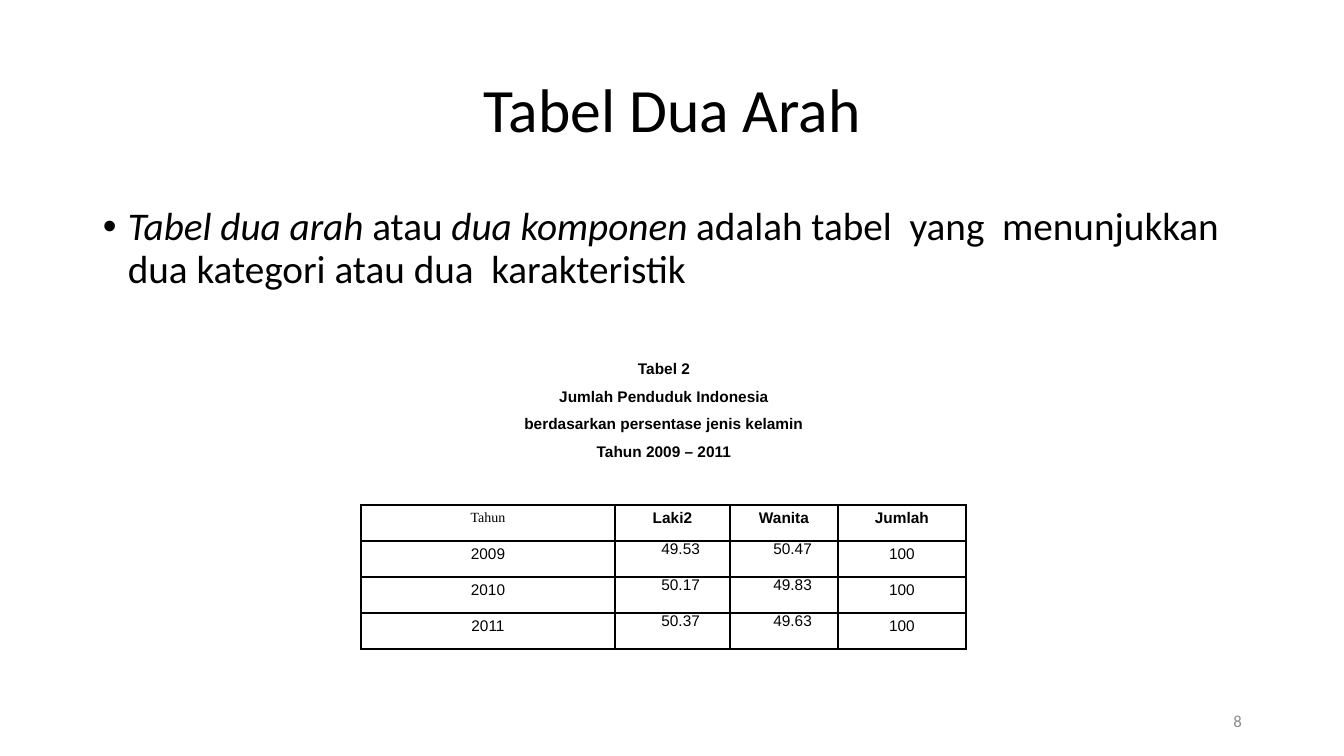
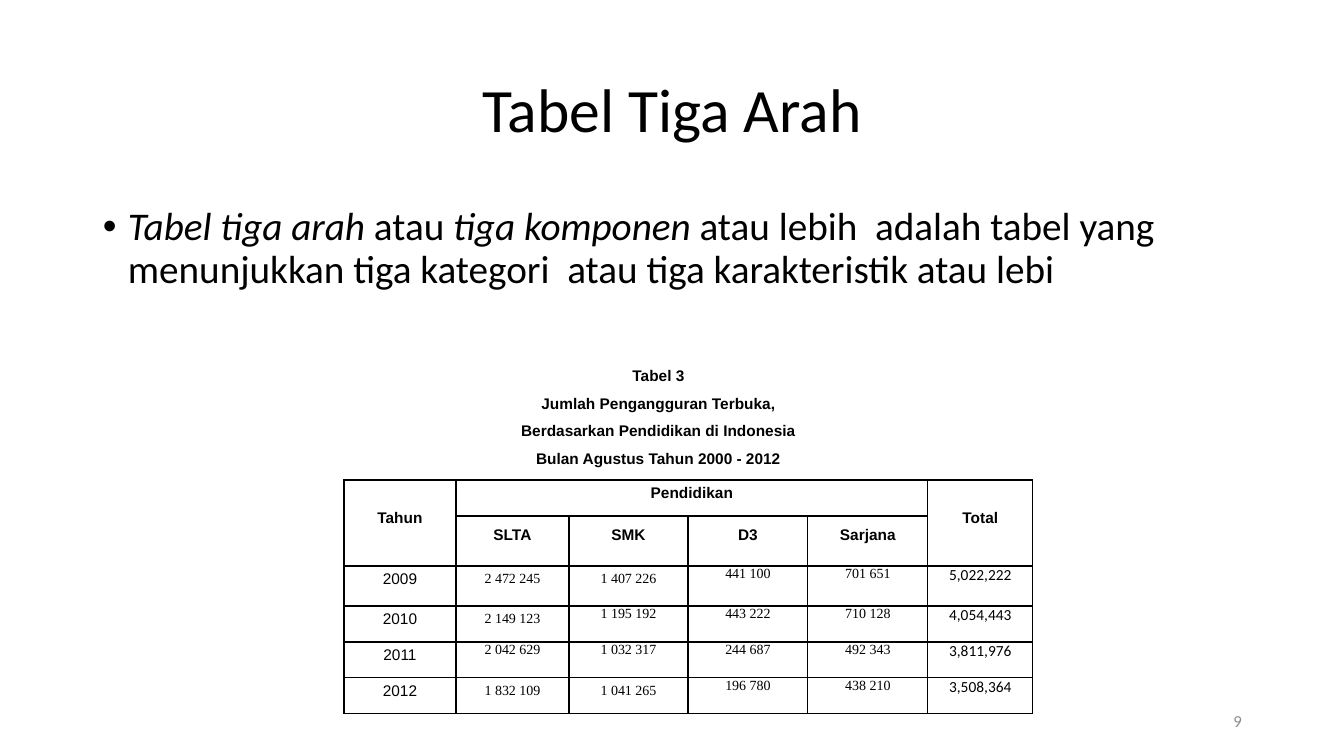
from dataclasses import dataclass
from typing import NamedTuple

from lxml import etree
from pptx import Presentation
from pptx.dml.color import RGBColor
from pptx.enum.text import MSO_ANCHOR, MSO_AUTO_SIZE, PP_ALIGN
from pptx.oxml.ns import qn
from pptx.util import Emu, Pt

LEFT, CENTER, RIGHT = PP_ALIGN.LEFT, PP_ALIGN.CENTER, PP_ALIGN.RIGHT
TOP, MIDDLE = MSO_ANCHOR.TOP, MSO_ANCHOR.MIDDLE
NO_FIT, GROW = MSO_AUTO_SIZE.NONE, MSO_AUTO_SIZE.SHAPE_TO_FIT_TEXT

COLORS = {"text": "000000", "border": "000000", "number": "8C8C8C"}
SANS, ARIAL, SERIF = "Calibri", "Arial", "Times New Roman"
TITLE_ONLY = 5


def px(n: float) -> Emu:
    """Pixels at 100.8 to the inch."""
    return Emu(round(n * 914400 / 100.8))


class Box(NamedTuple):
    x: int
    y: int
    w: int
    h: int


class Font(NamedTuple):
    face: str
    size: int
    bold: bool = False
    color: str = "text"


class CellStyle(NamedTuple):
    font: Font
    top: int = 0
    right: int = 0
    align: PP_ALIGN = CENTER


class Span(NamedTuple):
    row: int
    col: int
    last_row: int
    last_col: int


@dataclass
class Caption:
    box: Box
    top: int
    right: int
    number: str
    subject: tuple[str, str]
    period: str


@dataclass
class Grid:
    x: int
    y: int
    cols: list[int]
    rows: list[int]
    cells: list[list[tuple[str, str] | None]]
    spans: list[Span]


@dataclass
class Page:
    number: int
    title: str
    body: list[tuple[str, bool]]
    caption: Caption
    grid: Grid


# Shared layout and type styles
TITLE_BOX = Box(93, 40, 1159, 146)
BODY_BOX = Box(93, 202, 1159, 480)
NUMBER_BOX = Box(950, 701, 302, 40)
TITLE_FONT = Font(SANS, 44)
BODY_FONT = Font(SANS, 28)
NUMBER_FONT = Font(SANS, 12, color="number")
BOLD_FONT = Font(ARIAL, 11, True)
PLAIN_FONT = Font(ARIAL, 11)
SMALL_FONT = Font(SERIF, 10)

CELL_STYLES = {
    "head": CellStyle(BOLD_FONT, 5),
    "subhead": CellStyle(BOLD_FONT, 11),
    "tall head": CellStyle(BOLD_FONT, 30),
    "plain": CellStyle(PLAIN_FONT, 5),
    "men": CellStyle(PLAIN_FONT, 0, 30, RIGHT),
    "women": CellStyle(PLAIN_FONT, 0, 26, RIGHT),
    "count": CellStyle(SMALL_FONT, 5),
    "high count": CellStyle(SMALL_FONT),
    "total": CellStyle(Font(SANS, 11)),
}


def add_run(p, text: str, font: Font, italic: bool = False) -> None:
    r = p.add_run()
    r.text = text
    r.font.name, r.font.size = font.face, Pt(font.size)
    r.font.bold, r.font.italic = font.bold, italic
    r.font.color.rgb = RGBColor.from_string(COLORS[font.color])


def add_text_box(s, box: Box, anchor=TOP, fit=NO_FIT):
    tf = s.shapes.add_textbox(*map(px, box)).text_frame
    tf.word_wrap, tf.auto_size, tf.vertical_anchor = True, fit, anchor
    return tf


def add_title(s, text: str) -> None:
    sp = s.shapes.title
    sp.left, sp.top, sp.width, sp.height = map(px, TITLE_BOX)
    tf = sp.text_frame
    tf.auto_size, tf.vertical_anchor = NO_FIT, MIDDLE
    p = tf.paragraphs[0]
    p.alignment, p.line_spacing = CENTER, 0.9
    add_run(p, text, TITLE_FONT)


def add_body(s, runs: list[tuple[str, bool]]) -> None:
    p = add_text_box(s, BODY_BOX).paragraphs[0]
    p.alignment, p.line_spacing, p.space_before = LEFT, 0.9, Pt(10)
    pPr = p._p.get_or_add_pPr()
    pPr.set("marL", str(px(25)))
    pPr.set("indent", str(px(-25)))
    etree.SubElement(pPr, qn("a:buFont"), typeface=ARIAL)
    etree.SubElement(pPr, qn("a:buChar"), char="•")
    for text, italic in runs:
        add_run(p, text, BODY_FONT, italic)


def add_number(s, number: int) -> None:
    p = add_text_box(s, NUMBER_BOX, MIDDLE).paragraphs[0]
    p.alignment = RIGHT
    add_run(p, str(number), NUMBER_FONT)


def add_caption(s, caption: Caption) -> None:
    tf = add_text_box(s, caption.box, fit=GROW)
    tf.margin_left = tf.margin_bottom = 0
    tf.margin_top, tf.margin_right = px(caption.top), px(caption.right)
    first, subject, period = tf.paragraphs[0], tf.add_paragraph(), tf.add_paragraph()
    for p in (first, subject, period):
        p.alignment = CENTER
    add_run(first, caption.number, BOLD_FONT)
    subject.line_spacing = 1.5
    add_run(subject, caption.subject[0], BOLD_FONT)
    subject.add_line_break()
    add_run(subject, caption.subject[1], BOLD_FONT)
    period.space_before = Pt(6.6)
    add_run(period, caption.period, BOLD_FONT)


def style_cell(cell) -> None:
    tcPr = cell._tc.get_or_add_tcPr()
    for side in ("L", "R", "T", "B"):
        ln = etree.SubElement(tcPr, qn(f"a:ln{side}"), w=str(Pt(1)))
        fill = etree.SubElement(ln, qn("a:solidFill"))
        etree.SubElement(fill, qn("a:srgbClr"), val=COLORS["border"])
    cell.fill.background()


def fill_cell(cell, text: str, style: CellStyle) -> None:
    cell.margin_left = cell.margin_bottom = 0
    cell.margin_top, cell.margin_right = px(style.top), px(style.right)
    cell.vertical_anchor = TOP
    p = cell.text_frame.paragraphs[0]
    p.alignment = style.align
    add_run(p, text, style.font)


def add_grid(s, grid: Grid) -> None:
    box = Box(grid.x, grid.y, sum(grid.cols), sum(grid.rows))
    table = s.shapes.add_table(len(grid.rows), len(grid.cols), *map(px, box)).table
    table.first_row = table.horz_banding = False
    for column, width in zip(table.columns, grid.cols):
        column.width = px(width)
    for row, height in zip(table.rows, grid.rows):
        row.height = px(height)
    for i, values in enumerate(grid.cells):
        for j, value in enumerate(values):
            cell = table.cell(i, j)
            style_cell(cell)
            if value:
                fill_cell(cell, value[0], CELL_STYLES[value[1]])
    for span in grid.spans:
        table.cell(span.row, span.col).merge(table.cell(span.last_row, span.last_col))


def styled(texts: list[str], styles: list[str]) -> list[tuple[str, str]]:
    return list(zip(texts, styles))


# Two-way table
SHARE_ROW = ["plain", "men", "women", "plain"]
two_way = Page(
    8,
    "Tabel Dua Arah",
    [
        ("Tabel dua arah ", True),
        ("atau ", False),
        ("dua komponen ", True),
        ("adalah tabel  yang  menunjukkan dua kategori atau dua  karakteristik", False),
    ],
    Caption(
        Box(522, 348, 284, 114), 11, 0, "Tabel 2",
        ("Jumlah Penduduk Indonesia", "berdasarkan persentase jenis kelamin"),
        "Tahun 2009 – 2011",
    ),
    Grid(
        361, 505, [254, 115, 108, 128], [36] * 4,
        [
            styled(["Tahun", "Laki2", "Wanita", "Jumlah"], ["count"] + ["head"] * 3),
            styled(["2009", "49.53", "50.47", "100"], SHARE_ROW),
            styled(["2010", "50.17", "49.83", "100"], SHARE_ROW),
            styled(["2011", "50.37", "49.63", "100"], SHARE_ROW),
        ],
        [],
    ),
)

# Three-way table
HIGH_END = ["high count", "high count", "total"]
LOW_ROW = ["plain", "count", "count"] + HIGH_END
three_way = Page(
    9,
    "Tabel Tiga Arah",
    [
        ("Tabel tiga arah ", True),
        ("atau ", False),
        ("tiga komponen ", True),
        ("atau lebih  adalah tabel yang menunjukkan tiga kategori  "
         "atau tiga karakteristik atau lebi", False),
    ],
    Caption(
        Box(266, 365, 898, 105), 1, 113, "Tabel 3",
        ("Jumlah Pengangguran Terbuka,", "Berdasarkan Pendidikan di Indonesia"),
        "Bulan Agustus Tahun 2000 - 2012",
    ),
    Grid(
        344, 480, [112, 113, 119, 120, 120, 105], [36, 50, 40, 36, 36, 36],
        [
            [("Tahun", "tall head"), ("Pendidikan", "head"), None, None, None,
             ("Total", "tall head")],
            [None, *styled(["SLTA", "SMK", "D3", "Sarjana"], ["subhead"] * 4), None],
            styled(["2009", "2 472 245", "1 407 226", "441 100", "701 651", "5,022,222"],
                   LOW_ROW),
            styled(["2010", "2 149 123", "1 195 192", "443 222", "710 128", "4,054,443"],
                   ["plain", "count", "high count"] + HIGH_END),
            styled(["2011", "2 042 629", "1 032 317", "244 687", "492 343", "3,811,976"],
                   ["plain", "high count", "high count"] + HIGH_END),
            styled(["2012", "1 832 109", "1 041 265", "196 780", "438 210", "3,508,364"],
                   LOW_ROW),
        ],
        [Span(0, 0, 1, 0), Span(0, 1, 0, 4), Span(0, 5, 1, 5)],
    ),
)

# Build the slides
prs = Presentation()
prs.slide_width, prs.slide_height = px(1344), px(756)
for page in (two_way, three_way):
    s = prs.slides.add_slide(prs.slide_layouts[TITLE_ONLY])
    add_title(s, page.title)
    add_body(s, page.body)
    add_number(s, page.number)
    add_caption(s, page.caption)
    add_grid(s, page.grid)
prs.save("out.pptx")
